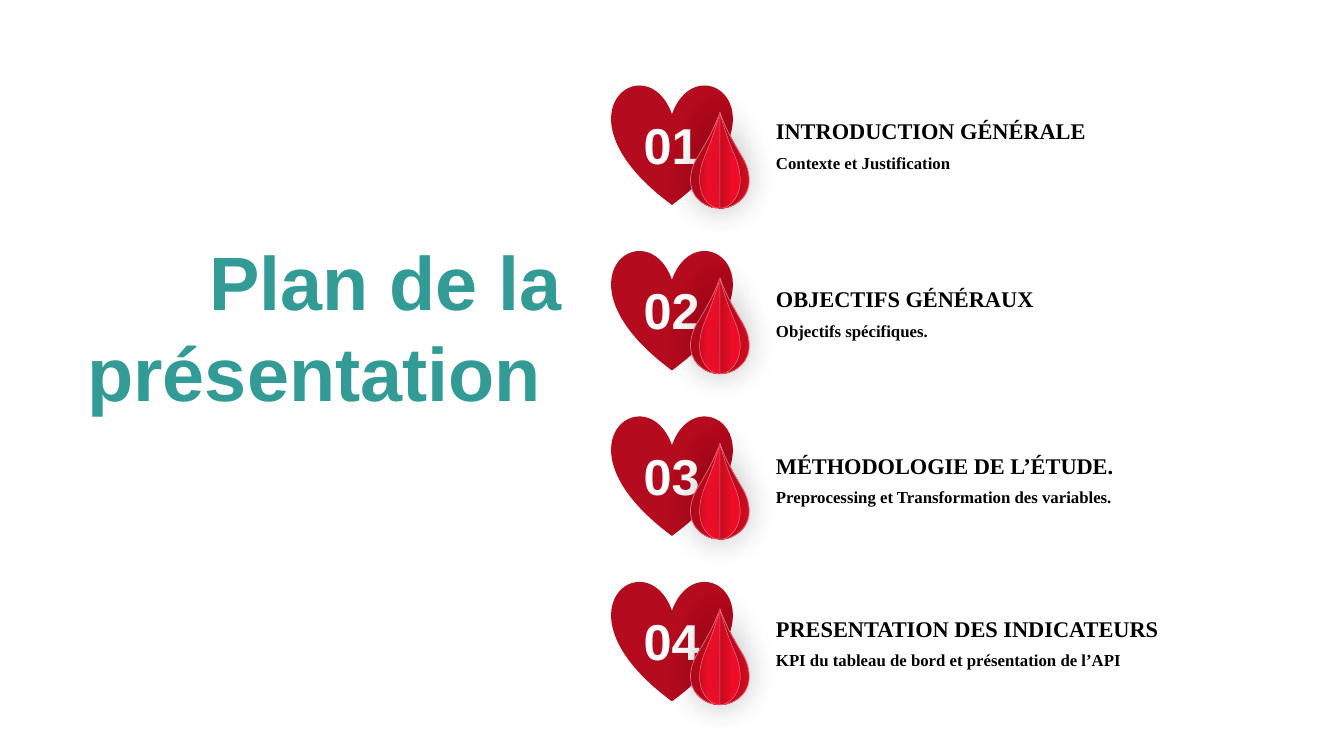
from dataclasses import dataclass

from lxml.etree import SubElement
from pptx import Presentation
from pptx.dml.color import RGBColor as Rgb
from pptx.enum.shapes import MSO_SHAPE as Preset
from pptx.enum.text import MSO_ANCHOR as Anchor, MSO_AUTO_SIZE as Fit, PP_ALIGN as Align
from pptx.oxml.ns import qn
from pptx.util import Inches, Pt

COLUMNS, ROWS = 16, 9
ROW_PITCH = 1.97

# Right half of a drop: its size, and cubic curves from its foot back to its tip
DROP_WIDTH, DROP_HEIGHT = 0.35, 1.14
DROP_CURVES = [
    ((0.1, 1.14), (0.19, 1.1), (0.26, 1.03)),
    ((0.4, 0.89), (0.36, 0.68), (0.26, 0.52)),
    ((0.16, 0.35), (0.08, 0.22), (0, 0)),
]

# Number, heading, detail, heading row
CHAPTERS = [
    ("01", "INTRODUCTION GÉNÉRALE", "Contexte et Justification", 1.34),
    ("02", "OBJECTIFS GÉNÉRAUX", "Objectifs spécifiques.", 3.34),
    ("03", "MÉTHODOLOGIE DE L’ÉTUDE.", "Preprocessing et Transformation des variables.", 5.32),
    ("04", "PRESENTATION DES INDICATEURS", "KPI du tableau de bord et présentation de l’API", 7.26),
]


@dataclass(frozen=True)
class Theme:
    teal: str = "339B95"
    white: str = "FFFFFF"
    black: str = "000000"
    heart: str = "B40B1E"
    edge: str = "F66F7E"
    sans: str = "Arial"
    serif: str = "Times New Roman"
    title: int = 54
    number: int = 36
    heading: int = 16
    detail: int = 12
    # Side, width share, edge width, gradient angle, stops (position, colour, opacity)
    petals: tuple = (
        (-1, 1, 0.5, 0, ((0, "B40B1E", 100), (25, "C00C20", 100), (100, "D80E24", 100))),
        (1, 1, 0.5, 180, ((0, "D80E24", 100), (75, "C00C20", 100), (100, "B40B1E", 100))),
        (-1, 0.69, 0.35, 0, ((0, "CC0D22", 100), (40, "F00F28", 100), (100, "F00F28", 100))),
        (1, 0.69, 0.35, 180, ((0, "F00F28", 90), (40, "F00F28", 100), (100, "C00C20", 100))),
    )


def add_colour(parent, value, opacity):
    colour = SubElement(parent, qn("a:srgbClr"), val=value)
    if opacity < 100:
        SubElement(colour, qn("a:alpha"), val=str(opacity * 1000))


class PlanSlide:
    """Draws on the current slide in grid columns and rows."""

    def __init__(self, deck, theme):
        self.theme = theme
        self.slide = deck.slides.add_slide(deck.slide_layouts[6])
        self.canvas = self.slide.shapes
        self.column = deck.slide_width / COLUMNS
        self.row = deck.slide_height / ROWS

    def place(self, column, row):
        return round(column * self.column), round(row * self.row)

    def group(self):
        """Send the next elements to a new group."""
        self.canvas = self.slide.shapes.add_group_shape().shapes

    def text(self, words, at, span, size, face, colour, align=Align.LEFT, anchor=Anchor.TOP):
        frame = self.canvas.add_textbox(*self.place(*at), *self.place(*span)).text_frame
        layout = {"word_wrap": True, "auto_size": Fit.SHAPE_TO_FIT_TEXT, "vertical_anchor": anchor}
        for name, value in layout.items():
            setattr(frame, name, value)
        line = frame.paragraphs[0]
        line.alignment = align
        run = line.add_run()
        run.text = words
        for name, value in {"size": Pt(size), "name": face, "bold": True}.items():
            setattr(run.font, name, value)
        run.font.color.rgb = Rgb.from_string(colour)

    def heart(self, at, span):
        heart = self.canvas.add_shape(Preset.HEART, *self.place(*at), *self.place(*span))
        heart.shadow.inherit = False
        heart.fill.solid()
        heart.fill.fore_color.rgb = Rgb.from_string(self.theme.heart)
        heart.line.fill.background()

    def petal(self, tip, side, share, edge, angle, stops):
        column, row = tip
        reach = side * share * DROP_WIDTH
        foot = self.place(column, row + DROP_HEIGHT)
        corner = self.place(column + reach, row + DROP_HEIGHT)
        builder = self.canvas.build_freeform(*self.place(*tip), scale=1.0)
        builder.add_line_segments([foot, corner], close=True)
        petal = builder.convert_to_shape()
        self.round_off(petal, side * share, max(0, -reach))
        petal.line.width = Pt(edge)
        petal.line.color.rgb = Rgb.from_string(self.theme.edge)
        self.gradient(petal, angle, stops)
        self.soft_shadow(petal)

    def round_off(self, petal, stretch, axis):
        """Replace the line to the corner by the curves of the drop."""
        outline = next(petal._element.spPr.iter(qn("a:path")))
        outline.remove(outline.findall(qn("a:lnTo"))[-1])
        closing = outline.find(qn("a:close"))
        for curve in DROP_CURVES:
            bend = SubElement(outline, qn("a:cubicBezTo"))
            for x, y in curve:
                across, down = self.place(axis + stretch * x, y)
                SubElement(bend, qn("a:pt"), x=str(across), y=str(down))
        outline.append(closing)

    def gradient(self, shape, angle, stops):
        shape.fill.gradient()
        shape.fill.gradient_angle = angle
        ramp = shape._element.spPr.find(qn("a:gradFill")).find(qn("a:gsLst"))
        for stop in list(ramp):
            ramp.remove(stop)
        for position, colour, opacity in stops:
            add_colour(SubElement(ramp, qn("a:gs"), pos=str(position * 1000)), colour, opacity)

    def soft_shadow(self, shape):
        shape.shadow.inherit = False
        effects = shape._element.spPr.find(qn("a:effectLst"))
        shadow = SubElement(effects, qn("a:outerShdw"), blurRad=str(Pt(25)), dist=str(Pt(1)),
                            dir=str(270 * 60000), algn="ctr", rotWithShape="0")
        add_colour(shadow, self.theme.black, 15)

    def badge(self, number, row):
        theme = self.theme
        self.group()
        self.heart((7.28, row), (1.44, 1.44))
        self.text(number, (7.51, row + 0.29), (0.97, 0.85), theme.number, theme.sans,
                  theme.white, Align.CENTER, Anchor.MIDDLE)
        for petal in theme.petals:
            self.petal((8.57, row + 0.34), *petal)

    def caption(self, heading, detail, row):
        theme = self.theme
        self.group()
        self.text(detail, (9.12, row + 0.42), (6.41, 0.36), theme.detail, theme.serif, theme.black)
        self.text(heading, (9.12, row), (6.41, 0.44), theme.heading, theme.serif, theme.black)


def main():
    deck = Presentation()
    deck.slide_width, deck.slide_height = Inches(13.33), Inches(7.5)
    theme = Theme()
    plan = PlanSlide(deck, theme)
    plan.text("Plan de la présentation ", (0.86, 2.73), (5.95, 2.3), theme.title, theme.sans,
              theme.teal, Align.RIGHT, Anchor.MIDDLE)
    for index, (number, *_) in enumerate(CHAPTERS):
        plan.badge(number, 1 + index * ROW_PITCH)
    for _, heading, detail, row in CHAPTERS:
        plan.caption(heading, detail, row)
    deck.save("out.pptx")


if __name__ == "__main__":
    main()
